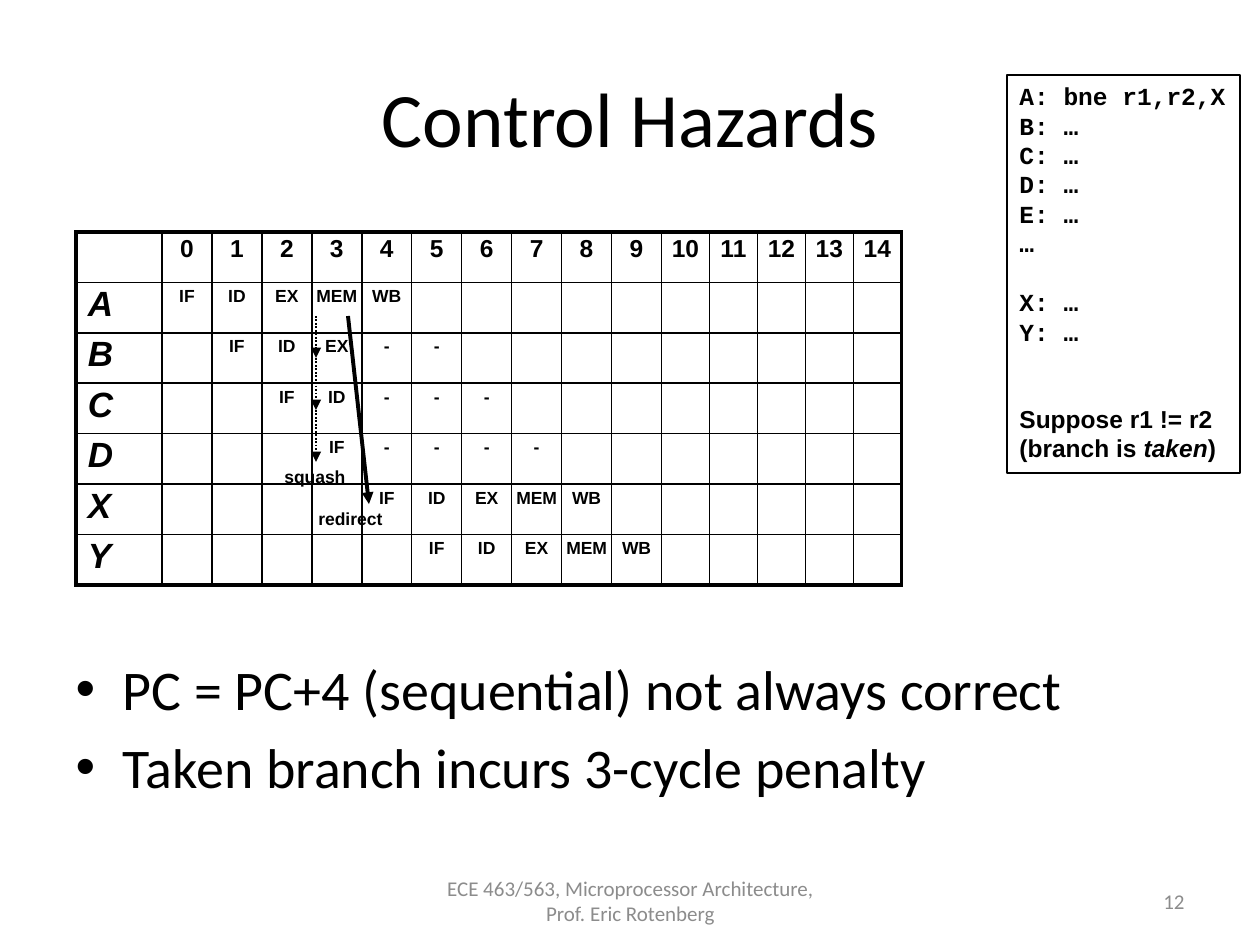
from pptx import Presentation
from pptx.dml.color import RGBColor
from pptx.enum.dml import MSO_LINE
from pptx.enum.shapes import MSO_CONNECTOR as CONNECTOR
from pptx.enum.text import MSO_ANCHOR as ANCHOR, MSO_AUTO_SIZE as AUTO, PP_ALIGN as ALIGN
from pptx.oxml.ns import qn
from pptx.util import Pt
from lxml.etree import SubElement

COLORS = {"ink": "000000", "muted": "8C8C8C"}
EMU_PER_PX = 914400 / 126
SLIDE = (1260, 945)

TITLE = ("Control Hazards", (63, 38, 1134, 157))
BULLETS = (["PC = PC+4 (sequential) not always correct",
            "Taken branch incurs 3-cycle penalty"], (63, 648, 1134, 197))
FOOTERS = [
    ("ECE 463/563, Microprocessor Architecture, Prof. Eric Rotenberg", (431, 876, 399, 50), ALIGN.CENTER),
    ("12", (903, 876, 294, 50), ALIGN.RIGHT),
]

TABLE_BOX = (76, 232, 826, 353)
COLUMNS = [86] + [50] * 10 + [48] * 5
FULL = ["IF", "ID", "EX", "MEM", "WB"]
PIPELINE = [
    ("A", 0, FULL),
    ("B", 1, ["IF", "ID", "EX", "-", "-"]),
    ("C", 2, ["IF", "ID", "-", "-", "-"]),
    ("D", 3, ["IF", "-", "-", "-", "-"]),
    ("X", 4, FULL),
    ("Y", 5, FULL),
]

CODE_BOX = (1007, 75, 233, 398)
MONO, SANS = "Courier New", "Arial"
CODE = [
    (0, MONO, ["A: bne r1,r2,X"]),
    (0, MONO, ["B: …"]),
    (0, MONO, ["C: …"]),
    (0, MONO, ["D: …"]),
    (0, MONO, ["E: …"]),
    (0, MONO, ["…"]),
    (17, MONO, ["X: …"]),
    (0, MONO, ["Y: …"]),
    (33, SANS, ["Suppose r1 != r2"]),
    (0, SANS, ["(branch is ", "taken", ")"]),
]

REDIRECT = (348, 316, 369, 504)
SQUASH_X, SQUASH_STOPS = 316, [316, 358, 410, 462]
LABELS = [("squash", (272, 460, 87, 34)), ("redirect", (306, 502, 90, 34))]


def px(value):
    return round(value * EMU_PER_PX)


def color(name):
    return RGBColor.from_string(COLORS[name])


def style(para, size, font, ink="ink", bold=False, italic=False):
    for span in para.runs:
        span.font.size, span.font.name = Pt(size), font
        span.font.bold, span.font.italic = bold, italic
        span.font.color.rgb = color(ink)


def place(shape, box):
    shape.left, shape.top, shape.width, shape.height = map(px, box)


def add_text(page, text, box, size, font, ink="ink", bold=False, wrap=True,
             align=ALIGN.LEFT, anchor=ANCHOR.TOP):
    shape = page.shapes.add_textbox(*map(px, box))
    frame = shape.text_frame
    frame.word_wrap, frame.vertical_anchor = wrap, anchor
    frame.text = text
    frame.paragraphs[0].alignment = align
    style(frame.paragraphs[0], size, font, ink, bold)


def add_arrow(page, ends, width, dash=None):
    arrow = page.shapes.add_connector(CONNECTOR.STRAIGHT, *map(px, ends))
    arrow.line.color.rgb = color("ink")
    arrow.line.width = Pt(width)
    if dash:
        arrow.line.dash_style = dash
    SubElement(arrow.line._get_or_add_ln(), qn("a:tailEnd"), type="triangle")
    SubElement(arrow._element.spPr, qn("a:effectLst"))


def set_borders(cell, widths):
    properties = cell._tc.get_or_add_tcPr()
    for position, (side, width) in enumerate(widths.items()):
        line = properties.makeelement(qn(f"a:ln{side}"), {"w": str(Pt(width))})
        fill = SubElement(line, qn("a:solidFill"))
        SubElement(fill, qn("a:srgbClr"), val=COLORS["ink"])
        properties.insert(position, line)


def add_pipeline(page):
    cycles = len(COLUMNS) - 1
    grid = [[""] + [str(cycle) for cycle in range(cycles)]]
    for label, start, stages in PIPELINE:
        grid.append([label] + [""] * start + stages + [""] * (cycles - start - len(stages)))
    table = page.shapes.add_table(len(grid), len(COLUMNS), *map(px, TABLE_BOX)).table
    table.first_row = table.horz_banding = False
    for column, width in zip(table.columns, COLUMNS):
        column.width = px(width)
    for r, row in enumerate(grid):
        table.rows[r].height = px(TABLE_BOX[3] / len(grid))
        for c, text in enumerate(row):
            cell, is_label = table.cell(r, c), c == 0
            cell.fill.background()
            cell.margin_left = cell.margin_right = px(12 if is_label else 0)
            cell.margin_top = cell.margin_bottom = px(6 if text else 0)
            cell.text = text
            para = cell.text_frame.paragraphs[0]
            para.alignment = ALIGN.LEFT if is_label else ALIGN.CENTER
            para.line_spacing = 0.9
            size = 20 if is_label else 14 if r == 0 else 10
            style(para, size, SANS, bold=True, italic=is_label)
            outer = {"L": is_label, "R": c == cycles, "T": r == 0, "B": r == len(grid) - 1}
            set_borders(cell, {side: 2.25 if edge else 1 for side, edge in outer.items()})


def add_code(page):
    box = page.shapes.add_textbox(*map(px, CODE_BOX))
    box.line.color.rgb = color("ink")
    box.line.width = Pt(1)
    frame = box.text_frame
    frame.word_wrap = False
    for index, (gap, font, parts) in enumerate(CODE):
        para = frame.add_paragraph() if index else frame.paragraphs[0]
        para.space_before = Pt(gap)
        for part in parts:
            para.add_run().text = part
        style(para, 14, font, bold=True)
        for span in para.runs[1:2]:
            span.font.italic = True


def main():
    deck = Presentation()
    deck.slide_width, deck.slide_height = map(px, SLIDE)
    page = deck.slides.add_slide(deck.slide_layouts.get_by_name("Title and Content"))

    title, body = page.placeholders
    for shape, text, box, size in ((title, TITLE[0], TITLE[1], 44),
                                   (body, "\n".join(BULLETS[0]), BULLETS[1], 32)):
        place(shape, box)
        shape.text_frame.text = text
        shape.text_frame.auto_size = AUTO.NONE
        for para in shape.text_frame.paragraphs:
            style(para, size, "Calibri")

    for text, box, align in FOOTERS:
        add_text(page, text, box, 12, "Calibri", "muted", align=align, anchor=ANCHOR.MIDDLE)
    add_pipeline(page)
    add_code(page)
    add_arrow(page, REDIRECT, 2.25)
    for top, bottom in zip(SQUASH_STOPS, SQUASH_STOPS[1:]):
        add_arrow(page, (SQUASH_X, top, SQUASH_X, bottom), 1, MSO_LINE.ROUND_DOT)
    for text, box in LABELS:
        add_text(page, text, box, 10, SANS, bold=True, wrap=False)
    deck.save("out.pptx")


if __name__ == "__main__":
    main()
